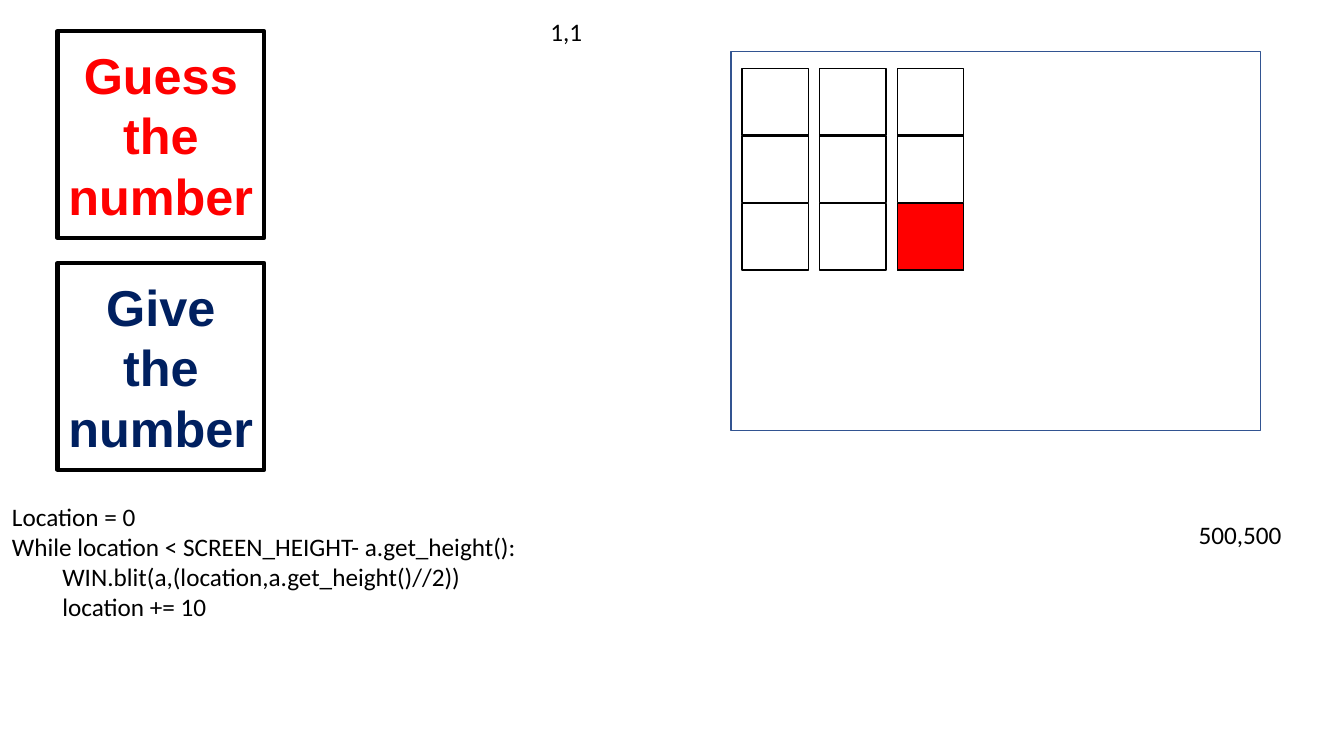
import pptx
import pptx.util
import pptx.dml.color
import pptx.enum.shapes
import pptx.enum.text

# Content, with lengths in inches
SLIDE_SIZE = (13.33, 7.5)
BLACK, WHITE, RED, NAVY, BLUE = "000000", "FFFFFF", "FF0000", "002060", "325491"

BUTTONS = [("Guess the number", RED), ("Give the number", NAVY)]
BUTTON_LEFT, BUTTON_TOP, BUTTON_SIZE, BUTTON_PITCH = 0.57, 0.31, 2.05, 2.3

LABELS = [
    (["Location = 0",
      "While location < SCREEN_HEIGHT- a.get_height():",
      "\tWIN.blit(a,(location,a.get_height()//2))",
      "\tlocation += 10"], (0.02, 4.92, 5.28, 1.31)),
    (["1,1"], (5.36, 0.11, 0.52, 0.4)),
    (["500,500"], (11.79, 5.1, 1.03, 0.4)),
]

SCREEN = (7.25, 0.51, 5.25, 3.76)
GRID_LEFT, GRID_TOP, GRID_COUNT = 7.36, 0.68, 3
COLUMN_PITCH, ROW_PITCH, CELL_SIZE = 0.77, 0.67, 0.66
RED_CELL = (2, 2)

deck = pptx.Presentation()
deck.slide_width, deck.slide_height = map(pptx.util.Inches, SLIDE_SIZE)
slide = deck.slides.add_slide(deck.slide_layouts[6])


def color(hex_code):
    return pptx.dml.color.RGBColor.from_string(hex_code)


def add_box(place, fill, line, line_width):
    box = slide.shapes.add_shape(
        pptx.enum.shapes.MSO_SHAPE.RECTANGLE, *map(pptx.util.Inches, place))
    box.shadow.inherit = False
    if fill:
        box.fill.solid()
        box.fill.fore_color.rgb = color(fill)
    else:
        box.fill.background()
    box.line.color.rgb = color(line)
    box.line.width = pptx.util.Pt(line_width)
    return box


def write(frame, text, font_name, size, text_color, bold=False):
    frame.text = text
    for paragraph in frame.paragraphs:
        for run in paragraph.runs:
            run.font.name = font_name
            run.font.size = pptx.util.Pt(size)
            run.font.bold = bold
            run.font.color.rgb = color(text_color)


# Game buttons
for index, (caption, caption_color) in enumerate(BUTTONS):
    top = BUTTON_TOP + index * BUTTON_PITCH
    button = add_box((BUTTON_LEFT, top, BUTTON_SIZE, BUTTON_SIZE), WHITE, BLACK, 3)
    write(button.text_frame, caption, "Arial", 36, caption_color, bold=True)
    button.text_frame.word_wrap = True
    button.text_frame.vertical_anchor = pptx.enum.text.MSO_ANCHOR.MIDDLE
    button.text_frame.paragraphs[0].alignment = pptx.enum.text.PP_ALIGN.CENTER

# Code and corner coordinates
for lines, place in LABELS:
    label = slide.shapes.add_textbox(*map(pptx.util.Inches, place))
    write(label.text_frame, "\n".join(lines), "Calibri", 18, BLACK)
    label.text_frame.word_wrap = False
    label.text_frame.auto_size = pptx.enum.text.MSO_AUTO_SIZE.SHAPE_TO_FIT_TEXT

# Cell grid, with the red cell laid over its last position
white_cells = [(column, row, WHITE)
               for row in range(GRID_COUNT) for column in range(GRID_COUNT)]
for column, row, fill in white_cells + [(*RED_CELL, RED)]:
    add_box((GRID_LEFT + column * COLUMN_PITCH, GRID_TOP + row * ROW_PITCH,
             CELL_SIZE, CELL_SIZE), fill, BLACK, 1)

# Screen outline
add_box(SCREEN, None, BLUE, 1)

deck.save("out.pptx")
